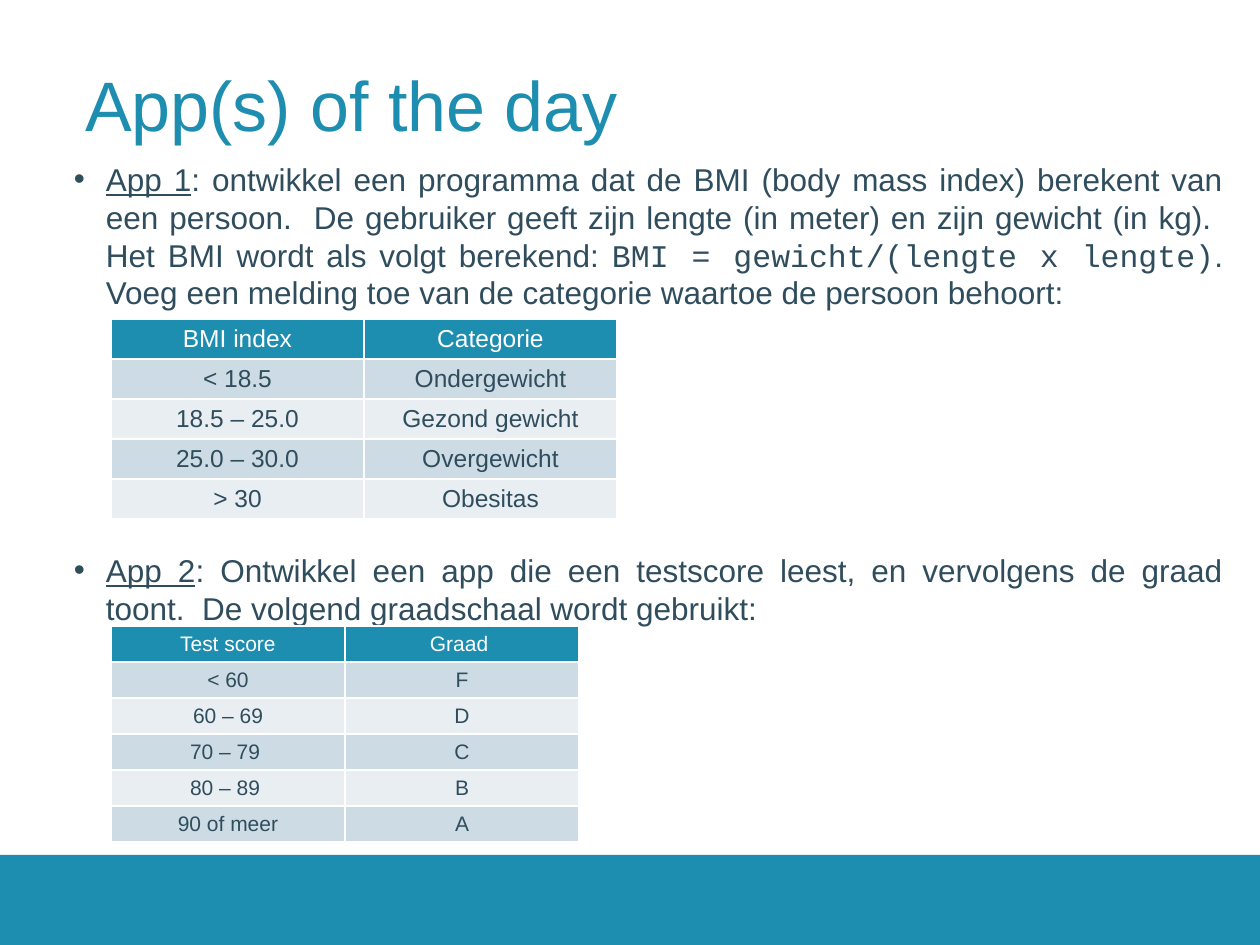
import pptx
import pptx.util
import pptx.dml.color
import pptx.enum.shapes
import pptx.enum.text
import pptx.oxml.ns
from lxml import etree

TEAL = pptx.dml.color.RGBColor(0x1D, 0x8D, 0xB0)
SLATE = pptx.dml.color.RGBColor(0x2F, 0x4D, 0x5D)
BAND_DARK = pptx.dml.color.RGBColor(0xCD, 0xDB, 0xE4)
BAND_LIGHT = pptx.dml.color.RGBColor(0xE8, 0xEE, 0xF2)
WHITE = pptx.dml.color.RGBColor(0xFF, 0xFF, 0xFF)

EMU_PER_PX = 914400 / 126
ALIGN = pptx.enum.text.PP_ALIGN
qn = pptx.oxml.ns.qn


def px(length):
    return pptx.util.Emu(round(length * EMU_PER_PX))


class SlideBuilder:
    font = "Arial"
    code_font = "Courier New"

    def __init__(self, slide):
        self.slide = slide

    def style(self, run, size, color, font=None, underline=False):
        run.font.name = font or self.font
        run.font.size = pptx.util.Pt(size)
        run.font.color.rgb = color
        run.font.bold = False
        run.font.underline = underline

    def bar(self, left, top, width, height, color):
        bar = self.slide.shapes.add_shape(
            pptx.enum.shapes.MSO_SHAPE.RECTANGLE,
            px(left), px(top), px(width), px(height))
        bar.shadow.inherit = False
        bar.fill.solid()
        bar.fill.fore_color.rgb = color
        bar.line.fill.background()

    def text_frame(self, left, top, width, height, inset=0):
        frame = self.slide.shapes.add_textbox(
            px(left), px(top), px(width), px(height)).text_frame
        frame.word_wrap = True
        frame.margin_left = frame.margin_right = px(inset)
        frame.margin_top = frame.margin_bottom = px(inset)
        return frame

    def title(self, text, left, top, width, height):
        frame = self.text_frame(left, top, width, height, inset=6)
        frame.vertical_anchor = pptx.enum.text.MSO_ANCHOR.MIDDLE
        frame.text = text
        heading = frame.paragraphs[0]
        heading.line_spacing = 0.9
        self.style(heading.runs[0], 40, TEAL)

    def bullet(self, paragraph, label, *parts, space_before=0):
        """Justified bullet: underlined label, then (text, font) parts."""
        properties = paragraph._p.get_or_add_pPr()
        properties.set("marL", str(px(32)))
        properties.set("indent", str(px(-32)))
        etree.SubElement(properties, qn("a:buFont")).set("typeface", self.font)
        etree.SubElement(properties, qn("a:buChar")).set("char", "•")
        paragraph.alignment = ALIGN.JUSTIFY
        paragraph.line_spacing = 1.0
        paragraph.space_before = pptx.util.Pt(space_before)
        for text, font in [(label, self.font), *parts]:
            run = paragraph.add_run()
            run.text = text
            self.style(run, 18, SLATE, font, underline=text == label)

    def borders(self, cell):
        properties = cell._tc.get_or_add_tcPr()
        for position, tag in enumerate(("a:lnL", "a:lnR", "a:lnT", "a:lnB")):
            line = etree.Element(qn(tag), w=str(pptx.util.Pt(1)))
            fill = etree.SubElement(line, qn("a:solidFill"))
            etree.SubElement(fill, qn("a:srgbClr")).set("val", str(WHITE))
            properties.insert(position, line)

    def table(self, rows, left, top, column_width, row_height, size):
        column_count = len(rows[0])
        table = self.slide.shapes.add_table(
            len(rows), column_count, px(left), px(top),
            px(column_width * column_count), px(row_height * len(rows))).table
        for column in table.columns:
            column.width = px(column_width)
        for row_index, row in enumerate(rows):
            table.rows[row_index].height = px(row_height)
            is_header = row_index == 0
            band = BAND_DARK if row_index % 2 else BAND_LIGHT
            for column_index, text in enumerate(row):
                cell = table.cell(row_index, column_index)
                cell.margin_top = cell.margin_bottom = px(5)
                cell.vertical_anchor = pptx.enum.text.MSO_ANCHOR.MIDDLE
                cell.fill.solid()
                cell.fill.fore_color.rgb = TEAL if is_header else band
                self.borders(cell)
                cell.text_frame.text = text
                paragraph = cell.text_frame.paragraphs[0]
                paragraph.alignment = ALIGN.CENTER
                self.style(paragraph.runs[0], size,
                           WHITE if is_header else SLATE)


def main():
    presentation = pptx.Presentation()
    presentation.slide_width = px(1260)
    presentation.slide_height = px(945)
    builder = SlideBuilder(
        presentation.slides.add_slide(presentation.slide_layouts[6]))

    # Footer bar and title
    builder.bar(0, 855, 1260, 90, TEAL)
    builder.title("App(s) of the day", 79, 29, 1102, 159)

    # Both assignments; the space between them holds the BMI table
    assignments = builder.text_frame(74, 160, 1149, 610)
    builder.bullet(
        assignments.paragraphs[0], "App 1",
        (": ontwikkel een programma dat de BMI (body mass index) berekent van "
         "een persoon.  De gebruiker geeft zijn lengte (in meter) en zijn "
         "gewicht (in kg).  Het BMI wordt als volgt berekend: ", builder.font),
        ("BMI = gewicht/(lengte x lengte)", builder.code_font),
        (". Voeg een melding toe van de categorie waartoe de persoon behoort:",
         builder.font))
    builder.bullet(
        assignments.add_paragraph(), "App 2",
        (": Ontwikkel een app die een testscore leest, en vervolgens de graad "
         "toont.  De volgend graadschaal wordt gebruikt:", builder.font),
        space_before=137)

    # BMI categories
    bmi_categories = [
        ("BMI index", "Categorie"),
        ("< 18.5", "Ondergewicht"),
        ("18.5 – 25.0", "Gezond gewicht"),
        ("25.0 – 30.0", "Overgewicht"),
        ("> 30", "Obesitas"),
    ]
    builder.table(bmi_categories, 111, 319, 253, 40, 14)

    # Grade scale
    grade_scale = [
        ("Test score", "Graad "),
        ("< 60", "F"),
        ("60 – 69", "D"),
        ("70 – 79 ", "C"),
        ("80 – 89 ", "B"),
        ("90 of meer", "A"),
    ]
    builder.table(grade_scale, 111, 626, 234, 36, 12)

    presentation.save("out.pptx")


if __name__ == "__main__":
    main()
